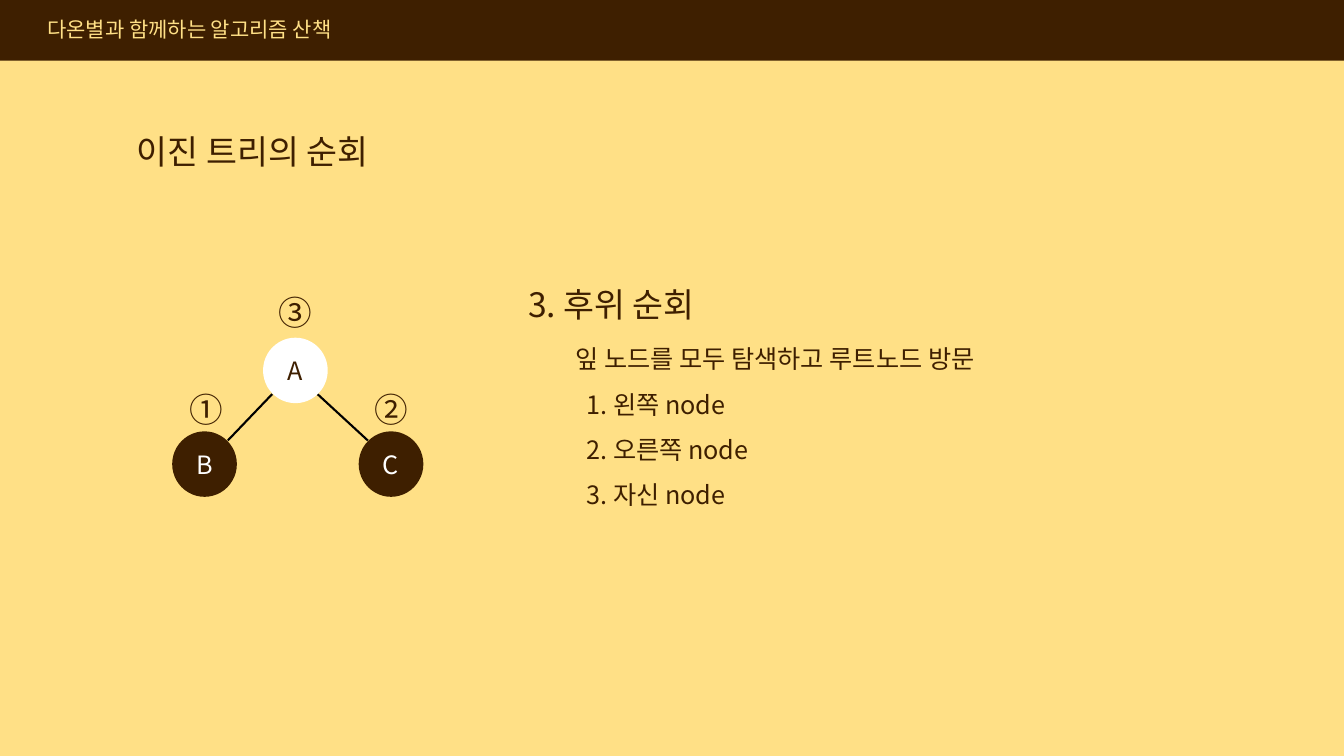
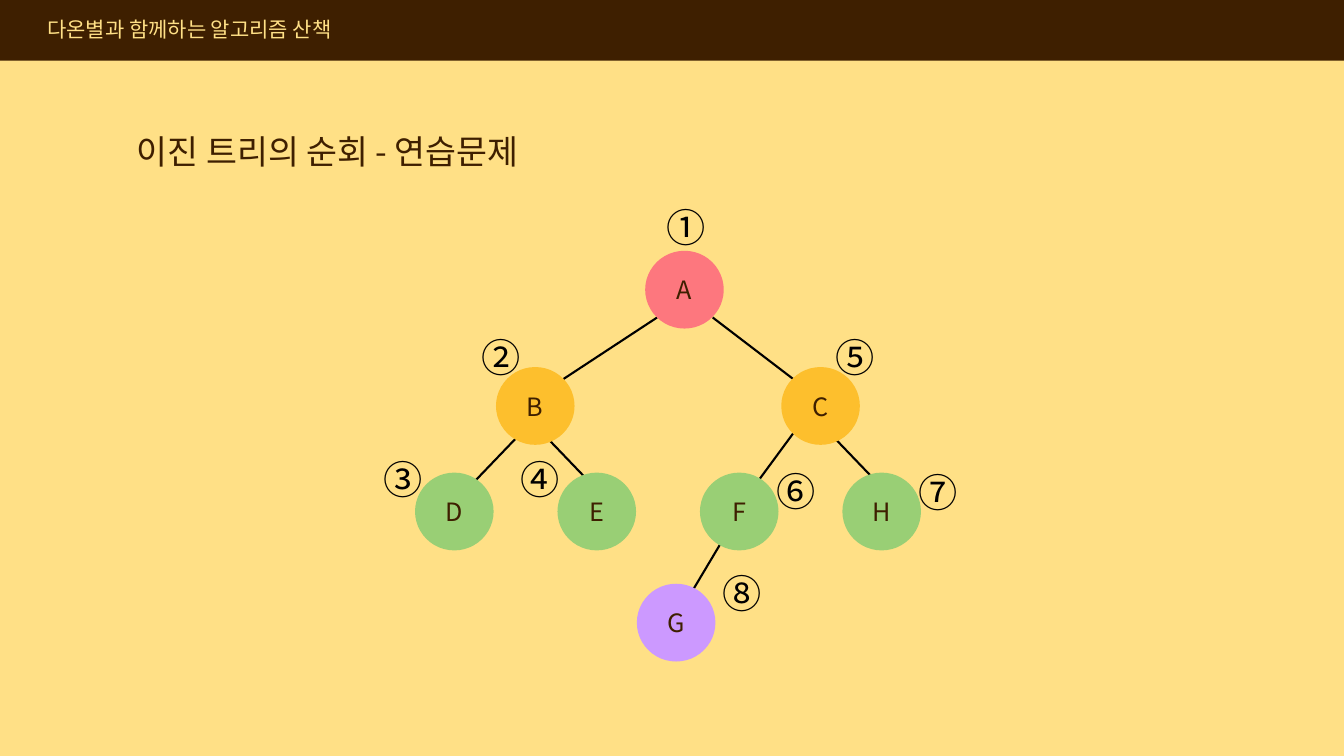
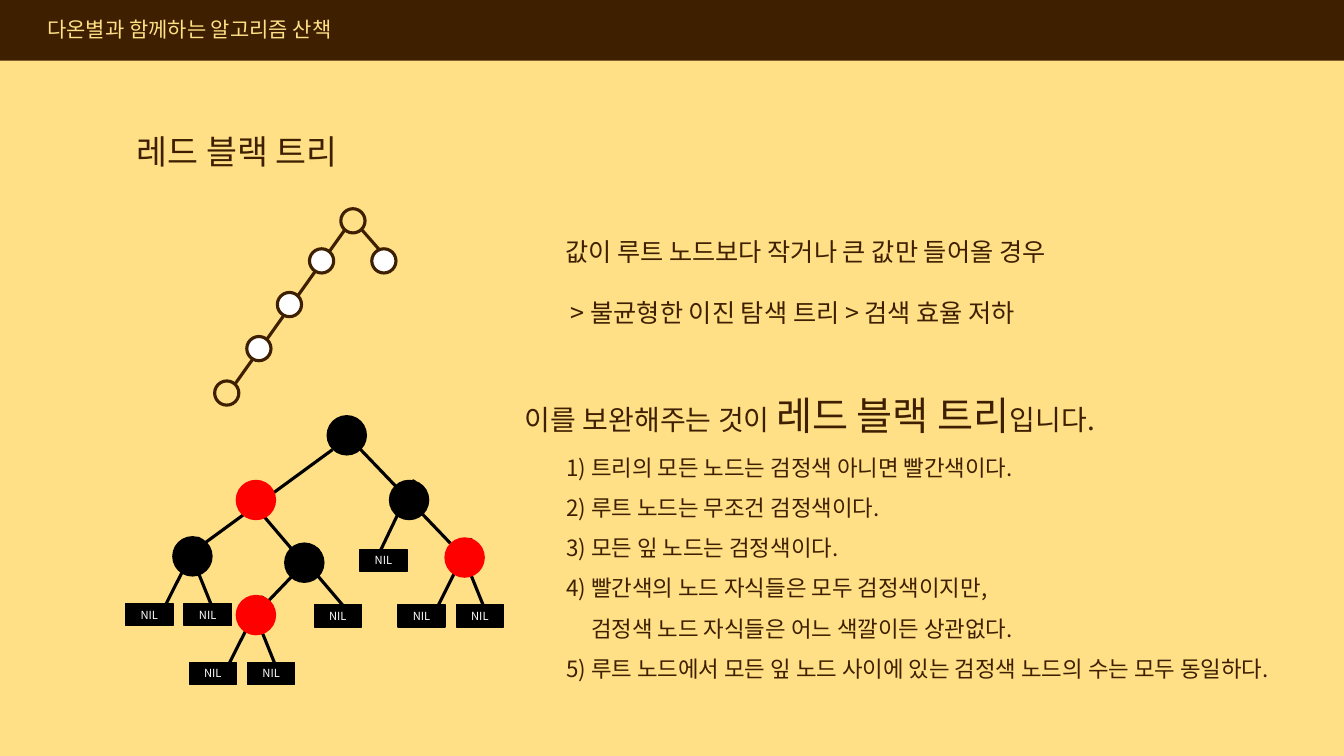
from dataclasses import dataclass

from lxml.etree import SubElement
from pptx import Presentation
from pptx.dml.color import RGBColor
from pptx.enum.shapes import MSO_CONNECTOR, MSO_SHAPE
from pptx.enum.text import MSO_ANCHOR, MSO_AUTO_SIZE, PP_ALIGN
from pptx.oxml.ns import qn
from pptx.util import Cm, Pt


@dataclass(frozen=True)
class Theme:
    font: str = "Noto Sans CJK KR"
    cream: str = "FFE086"
    brown: str = "3E1F00"
    white: str = "FFFFFF"
    black: str = "000000"
    red: str = "FF0000"
    coral: str = "FD777E"
    amber: str = "FDBF2D"
    green: str = "99CF75"
    violet: str = "CC99FF"
    header_size: int = 15
    title_size: int = 24
    order_size: int = 28
    body_size: int = 18
    claim_size: int = 20
    rule_size: int = 16
    nil_size: int = 8
    thin: float = 1.5
    thick: float = 2.25


@dataclass(frozen=True)
class Line:
    runs: tuple
    left: float = 0
    hanging: float = 0
    before: float = 0


THEME = Theme()
HEADER = "다온별과 함께하는 알고리즘 산책"
WIDTH, HEIGHT, BAND_HEIGHT = 33.87, 19.05, 1.53


def assign(target, values):
    for name, value in values.items():
        setattr(target, name, value)


class Deck:
    def __init__(self):
        self.presentation = Presentation()
        assign(self.presentation, {"slide_width": Cm(WIDTH), "slide_height": Cm(HEIGHT)})
        self.slide = None

    def start(self, title, title_width):
        self.slide = self.presentation.slides.add_slide(self.presentation.slide_layouts[6])
        background = self.slide.background.fill
        background.solid()
        background.fore_color.rgb = RGBColor.from_string(THEME.cream)
        self.shape(MSO_SHAPE.RECTANGLE, (0, 0, WIDTH, BAND_HEIGHT), THEME.brown)
        self.text((0.94, 0.3, 12.7, 0.89), [HEADER], THEME.header_size, THEME.cream)
        self.text((3.2, 3.18, title_width, 1.27), [title], THEME.title_size)

    def write_run(self, paragraph, text, size, color):
        run = paragraph.add_run()
        run.text = text
        assign(run.font, {"size": Pt(size), "name": THEME.font})
        run.font.color.rgb = RGBColor.from_string(color)
        SubElement(run._r.get_or_add_rPr(), qn("a:ea")).set("typeface", THEME.font)

    def write_line(self, paragraph, line, size, color):
        if line.left:
            properties = paragraph._p.get_or_add_pPr()
            properties.set("marL", str(Cm(line.left)))
            properties.set("indent", str(-Cm(line.hanging)))
        if line.before:
            paragraph.space_before = Pt(line.before)
        for text, run_size in line.runs:
            for index, part in enumerate(text.split("\n")):
                if index:
                    paragraph.add_line_break()
                self.write_run(paragraph, part, run_size or size, color)

    def text(self, box, lines, size, color=THEME.brown, spacing=None):
        shape = self.slide.shapes.add_textbox(*map(Cm, box))
        frame = shape.text_frame
        assign(frame, {"word_wrap": True, "auto_size": MSO_AUTO_SIZE.SHAPE_TO_FIT_TEXT})
        for index, line in enumerate(lines):
            paragraph = frame.add_paragraph() if index else frame.paragraphs[0]
            if spacing:
                paragraph.line_spacing = spacing
            if isinstance(line, str):
                line = Line(((line, size),))
            self.write_line(paragraph, line, size, color)

    def shape(self, kind, box, fill=None, outline=None, weight=1, label="", size=0, color=THEME.brown):
        shape = self.slide.shapes.add_shape(kind, *map(Cm, box))
        shape.shadow.inherit = False
        if fill:
            shape.fill.solid()
            shape.fill.fore_color.rgb = RGBColor.from_string(fill)
        else:
            shape.fill.background()
        if outline:
            shape.line.color.rgb = RGBColor.from_string(outline)
            shape.line.width = Pt(weight)
        else:
            shape.line.fill.background()
        if label:
            shape.text_frame.vertical_anchor = MSO_ANCHOR.MIDDLE
            paragraph = shape.text_frame.paragraphs[0]
            paragraph.alignment = PP_ALIGN.CENTER
            self.write_run(paragraph, label, size, color)

    def node(self, left, top, extent, fill=None, **style):
        self.shape(MSO_SHAPE.OVAL, (left, top, *extent), fill, **style)

    def nil(self, left, top):
        self.shape(MSO_SHAPE.RECTANGLE, (left, top, 1.19, 0.56), THEME.black, THEME.black,
                   label="NIL", size=THEME.nil_size, color=THEME.white)

    def nil_pair(self, left, top):
        self.edges([
            (left + 0.69, top + 0.03, left - 0.2, top + 1.8),
            (left + 0.48, top + 0.48, left + 1.19, top + 2.24),
        ], THEME.thick)
        for offset in (-1.17, 0.3):
            self.nil(left + offset, top + 1.7)

    def edges(self, ends, weight, color=THEME.black):
        for points in ends:
            connector = self.slide.shapes.add_connector(MSO_CONNECTOR.STRAIGHT, *map(Cm, points))
            connector.line.width = Pt(weight)
            connector.line.color.rgb = RGBColor.from_string(color)
            SubElement(connector._element.spPr, qn("a:effectLst"))

    def orders(self, marks, extent, size, color):
        for mark, left, top in marks:
            self.text((left, top, *extent), [mark], size, color)


def postorder_slide(deck):
    deck.start("이진 트리의 순회", 8.64)
    deck.text((13.06, 6.53, 11.2, 1.8), ["3. 후위 순회"], THEME.title_size, spacing=1.5)
    deck.orders([("③", 6.78, 7.24), ("①", 4.52, 9.68), ("②", 9.19, 9.68)],
                (1.32, 1.27), THEME.title_size, THEME.brown)
    deck.edges([(6.86, 9.93, 5.74, 11.1), (8, 9.93, 9.27, 11.1)], THEME.thin)
    for name, left, top, fill, color in [
        ("A", 6.63, 8.51, THEME.white, THEME.brown),
        ("B", 4.34, 10.87, THEME.brown, THEME.white),
        ("C", 9.04, 10.87, THEME.brown, THEME.white),
    ]:
        deck.node(left, top, (1.63, 1.65), fill, label=name, size=THEME.body_size, color=color)
    steps = [Line(((f"{number}. {side} node", None),), left=0.28)
             for number, side in enumerate(("왼쪽", "오른쪽", "자신"), 1)]
    deck.text((14.25, 8.15, 16.94, 4.88), ["잎 노드를 모두 탐색하고 루트노드 방문", *steps],
              THEME.body_size, spacing=1.5)


def exercise_slide(deck):
    deck.start("이진 트리의 순회 - 연습문제", 12.09)
    deck.edges([
        (16.56, 8, 14.2, 9.55),
        (17.96, 8, 19.99, 9.55),
        (13.39, 10.64, 11.51, 12.6),
        (13.41, 10.64, 15.29, 12.6),
        (19.99, 10.92, 18.62, 12.78),
        (20.65, 10.64, 22.53, 12.6),
        (18.36, 13.36, 17.27, 15.19),
    ], THEME.thin)
    leaves = [(name, 10.46 + 3.59 * index, 11.91, THEME.green) for index, name in enumerate("DEFH")]
    for name, left, top, fill in [
        ("A", 16.26, 6.32, THEME.coral),
        ("B", 12.5, 9.25, THEME.amber),
        ("C", 19.69, 9.25, THEME.amber),
        *leaves,
        ("G", 16.05, 14.71, THEME.violet),
    ]:
        deck.node(left, top, (1.98, 1.96), fill, label=name, size=THEME.body_size)
    deck.orders([
        ("①", 16.54, 5), ("②", 11.89, 8.28), ("③", 9.42, 11.35), ("④", 12.88, 11.35),
        ("⑤", 20.8, 8.28), ("⑥", 19.33, 11.66), ("⑦", 22.91, 11.68), ("⑧", 17.96, 14.22),
    ], (1.5, 1.45), THEME.order_size, THEME.black)


def draw_skewed_tree(deck):
    deck.edges([(8.69, 5.79, 5.92, 9.68), (9.12, 5.79, 9.68, 6.43)], THEME.thick, THEME.brown)
    for left, top, fill in [
        (8.59, 5.26, None),
        (7.8, 6.27, THEME.white),
        (9.37, 6.27, THEME.white),
        (6.99, 7.37, THEME.white),
        (6.22, 8.48, THEME.white),
        (5.41, 9.6, None),
    ]:
        deck.node(left, top, (0.61, 0.61), fill, outline=THEME.brown, weight=THEME.thick)


def draw_red_black_tree(deck):
    deck.edges([
        (8.38, 11.33, 5.18, 13.67),
        (9.09, 11.33, 11.35, 13.69),
        (6.3, 12.6, 7.62, 14.15),
        (8.03, 13.82, 6.45, 15.47),
        (7.42, 13.82, 8.74, 15.37),
        (10.44, 12.09, 9.58, 13.89),
    ], THEME.thick)
    deck.nil(7.92, 15.24)
    deck.nil(9.07, 13.84)
    for left, top, fill, has_nil_pair in [
        (8.23, 10.46, THEME.black, False),
        (5.94, 12.09, THEME.red, False),
        (9.8, 12.09, THEME.black, False),
        (4.34, 13.51, THEME.black, True),
        (7.16, 13.67, THEME.black, False),
        (5.94, 14.99, THEME.red, True),
        (11.2, 13.54, THEME.red, True),
    ]:
        if has_nil_pair:
            deck.nil_pair(left, top)
        deck.node(left, top, (1.02, 1.02), fill)


def red_black_slide(deck):
    deck.start("레드 블랙 트리", 5.99)
    draw_skewed_tree(deck)
    draw_red_black_tree(deck)
    deck.text((14, 5.84, 13.74, 2.57), [
        "값이 루트 노드보다 작거나 큰 값만 들어올 경우",
        Line((("> 불균형한 이진 탐색 트리 > 검색 효율 저하", None),), left=0.14, before=22),
    ], THEME.body_size)
    deck.text((12.98, 9.14, 16.26, 2.06), [
        Line((("이를 보완해주는 것이 ", None), ("레드 블랙 트리", THEME.order_size), ("입니다.", None))),
    ], THEME.claim_size, spacing=1.5)
    deck.text((14.02, 10.97, 19.38, 6.4), [
        "1) 트리의 모든 노드는 검정색 아니면 빨간색이다.",
        "2) 루트 노드는 무조건 검정색이다.",
        "3) 모든 잎 노드는 검정색이다.",
        Line((("4) 빨간색의 노드 자식들은 모두 검정색이지만,\n검정색 노드 자식들은 어느 색깔이든 상관없다.", None),),
             left=0.63, hanging=0.63),
        "5) 루트 노드에서 모든 잎 노드 사이에 있는 검정색 노드의 수는 모두 동일하다.",
    ], THEME.rule_size, spacing=1.5)


def main():
    deck = Deck()
    for build in (postorder_slide, exercise_slide, red_black_slide):
        build(deck)
    deck.presentation.save("out.pptx")


if __name__ == "__main__":
    main()
